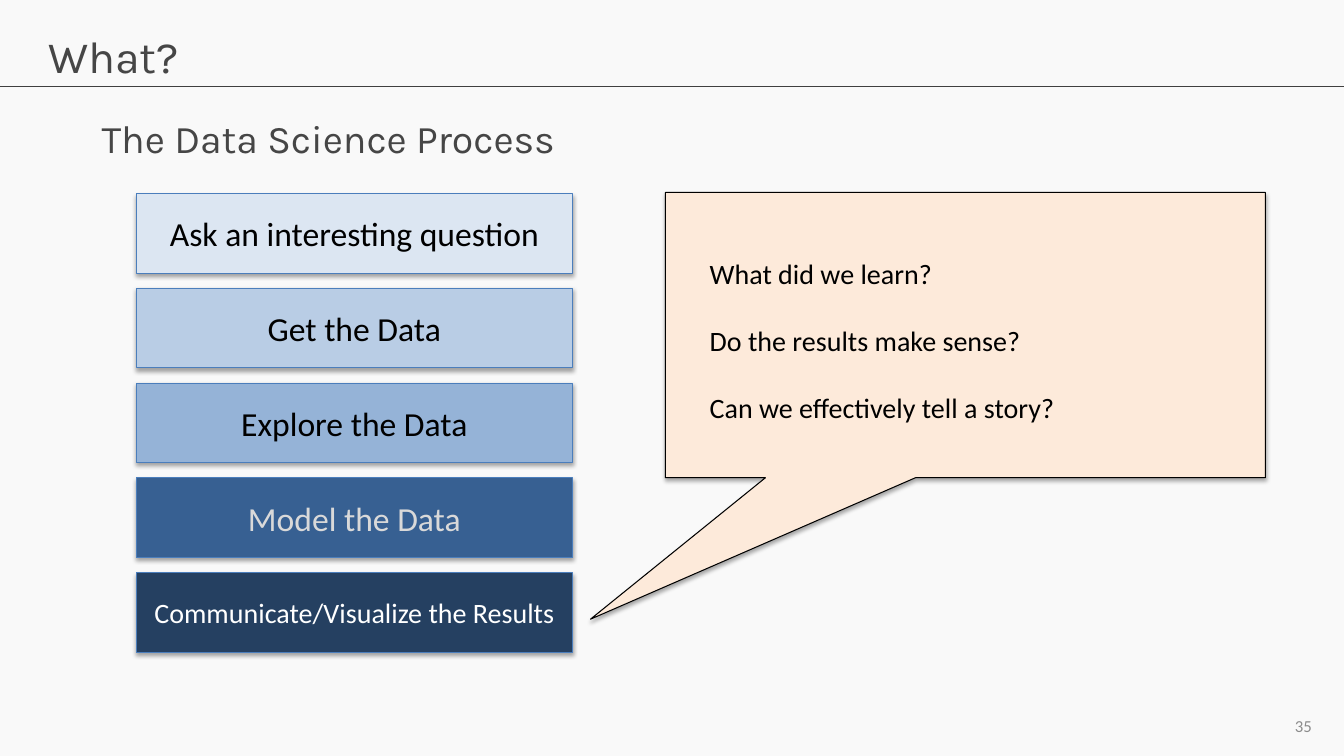
"""Build the slide on the five steps of the data science process."""
from dataclasses import dataclass

from lxml import etree
from pptx import Presentation
from pptx.dml.color import RGBColor
from pptx.enum.shapes import MSO_CONNECTOR, MSO_SHAPE as Preset
from pptx.enum.text import MSO_ANCHOR as Anchor, PP_ALIGN as Align
from pptx.oxml import parse_xml
from pptx.oxml.ns import nsdecls, qn
from pptx.shapes.autoshape import Shape
from pptx.slide import Slide
from pptx.text.text import TextFrame
from pptx.util import Inches, Pt

COLORS = {
    "background": "F9F9F9",
    "heading": "464646",
    "rule": "404040",
    "number": "8C8C8C",
    "black": "000000",
    "step_border": "4B7EBC",
    "callout": "FDEADA",
}
STEP_LEFT, STEP_TOP, STEP_PITCH = 1.35, 1.92, 0.94
STEP_WIDTH, STEP_HEIGHT = 4.33, 0.79


@dataclass
class Area:
    left: float
    top: float
    width: float
    height: float


@dataclass
class Style:
    size: float
    color: str
    font: str = "Calibri"
    align: Align = Align.LEFT
    anchor: Anchor = Anchor.TOP
    line_spacing: float = 1.0


@dataclass
class Caption:
    area: Area
    lines: list[str]
    style: Style


@dataclass
class Step:
    label: str
    fill: str
    color: str
    size: float = 24


STEPS = [
    Step("Ask an interesting question", "DCE6F2", "000000"),
    Step("Get the Data", "B9CDE5", "000000"),
    Step("Explore the Data", "95B3D7", "000000"),
    Step("Model the Data", "376092", "D9D9D9"),
    Step("Communicate/Visualize the Results", "254061", "FFFFFF", 20),
]
CAPTIONS = [
    Caption(Area(0.38, 0.24, 12.57, 0.84), ["What?"],
            Style(32, COLORS["heading"], "Karla")),
    Caption(Area(0.91, 1.08, 5.21, 0.68), ["The Data Science Process"],
            Style(28, COLORS["heading"], "Karla")),
    Caption(Area(10, 7, 3.11, 0.4), ["35"],
            Style(12, COLORS["number"], align=Align.RIGHT, anchor=Anchor.MIDDLE)),
    Caption(Area(6.94, 2.16, 5.61, 2.7),
            ["What did we learn?", "Do the results make sense?",
             "Can we effectively tell a story?"],
            Style(20, COLORS["black"], line_spacing=2.0)),
]


def rgb(color: str) -> RGBColor:
    return RGBColor.from_string(color)


def place(area: Area) -> tuple[int, int, int, int]:
    return (Inches(area.left), Inches(area.top),
            Inches(area.width), Inches(area.height))


def write(frame: TextFrame, lines: list[str], style: Style) -> None:
    frame.word_wrap = True
    frame.vertical_anchor = style.anchor
    for index, line in enumerate(lines):
        para = frame.add_paragraph() if index else frame.paragraphs[0]
        para.alignment = style.align
        para.line_spacing = style.line_spacing
        span = para.add_run()
        span.text = line
        span.font.name = style.font
        span.font.size = Pt(style.size)
        span.font.color.rgb = rgb(style.color)


def add_caption(page: Slide, caption: Caption) -> None:
    box = page.shapes.add_textbox(*place(caption.area))
    write(box.text_frame, caption.lines, caption.style)


def add_shadowed(page: Slide, preset: Preset, area: Area, fill: str, border: str) -> Shape:
    box = page.shapes.add_shape(preset, *place(area))
    box.fill.solid()
    box.fill.fore_color.rgb = rgb(fill)
    box.line.color.rgb = rgb(border)
    box.line.width = Pt(0.75)
    box.shadow.inherit = False
    effects = box._element.spPr.find(qn("a:effectLst"))
    effects.append(parse_xml(
        f'<a:outerShdw {nsdecls("a")} blurRad="{Pt(3.1)}" dist="{Pt(1.8)}" '
        f'dir="5400000" rotWithShape="0"><a:srgbClr val="{COLORS["black"]}">'
        '<a:alpha val="35000"/></a:srgbClr></a:outerShdw>'))
    return box


def add_step(page: Slide, index: int, step: Step) -> None:
    area = Area(STEP_LEFT, STEP_TOP + index * STEP_PITCH, STEP_WIDTH, STEP_HEIGHT)
    box = add_shadowed(page, Preset.RECTANGLE, area, step.fill, COLORS["step_border"])
    style = Style(step.size, step.color, align=Align.CENTER, anchor=Anchor.MIDDLE)
    write(box.text_frame, [step.label], style)


def add_callout(page: Slide) -> None:
    callout = add_shadowed(page, Preset.RECTANGULAR_CALLOUT, Area(8.16, 0.35, 2.83, 5.95),
                           COLORS["callout"], COLORS["black"])
    callout.rotation = 90
    callout.adjustments[0] = 0.996
    callout.adjustments[1] = 0.625


def add_rule(page: Slide) -> None:
    rule = page.shapes.add_connector(MSO_CONNECTOR.STRAIGHT, Inches(0), Inches(0.86),
                                     Inches(13.33), Inches(0.86))
    rule.line.color.rgb = rgb(COLORS["rule"])
    rule.line.width = Pt(0.75)
    etree.SubElement(rule._element.spPr, qn("a:effectLst"))


def main() -> None:
    deck = Presentation()
    deck.slide_width, deck.slide_height = Inches(13.33), Inches(7.5)
    page = deck.slides.add_slide(deck.slide_layouts[6])
    page.background.fill.solid()
    page.background.fill.fore_color.rgb = rgb(COLORS["background"])
    add_rule(page)
    for index, step in enumerate(STEPS):
        add_step(page, index, step)
    add_callout(page)
    for caption in CAPTIONS:
        add_caption(page, caption)
    deck.save("out.pptx")


if __name__ == "__main__":
    main()
